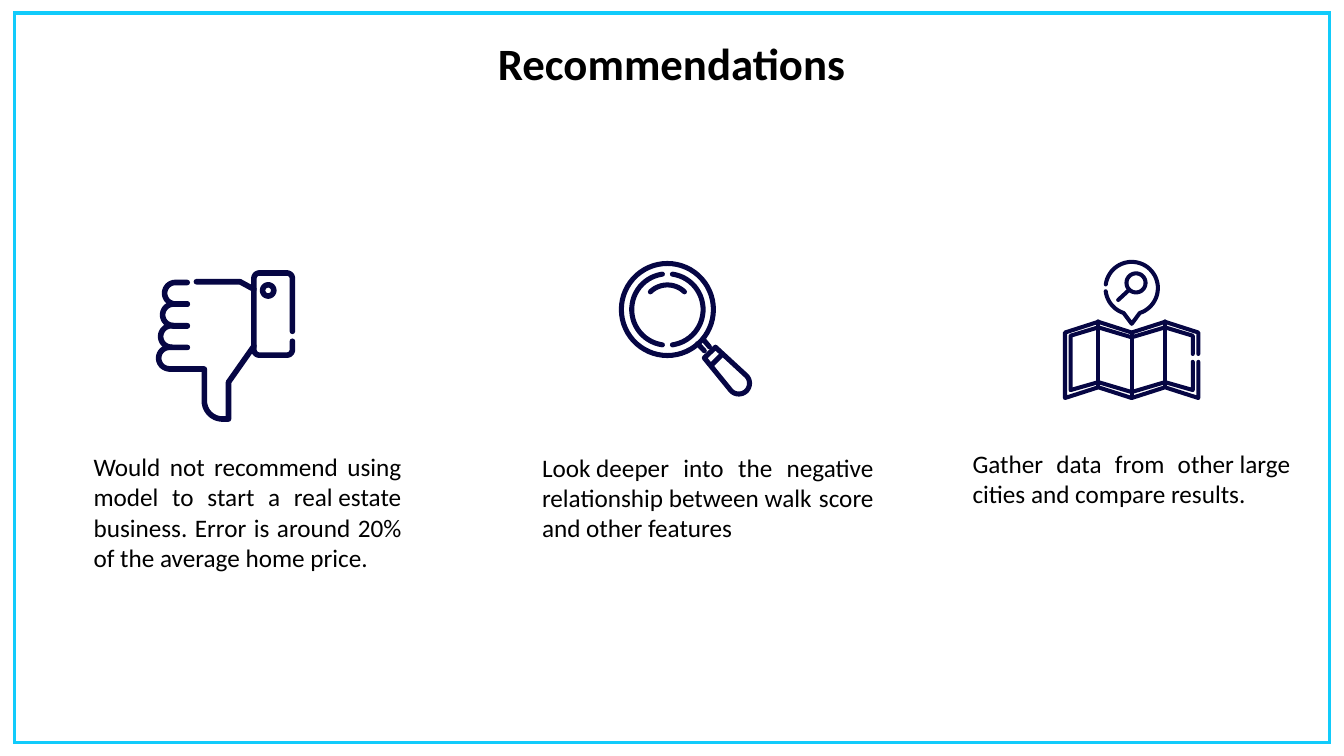
from math import cos, radians, sin

from lxml import etree
from pptx import Presentation
from pptx.dml.color import RGBColor
from pptx.enum.shapes import MSO_SHAPE
from pptx.enum.text import MSO_ANCHOR, PP_ALIGN
from pptx.oxml.ns import qn
from pptx.util import Cm, Pt

COLORS = {"white": "FFFFFF", "frame": "11CBFB", "text": "000000", "icon": "060644"}
NO_BREAK_SPACE = chr(160)


def arc(cx, cy, radius, start, end):
    """Points on a circle, in cm; degrees run clockwise from the right."""
    steps = max(8, round(abs(end - start) / 6))
    angles = [radians(start + (end - start) * i / steps) for i in range(steps + 1)]
    return [(cx + radius * cos(a), cy + radius * sin(a)) for a in angles]


def draw_strokes(strokes, width):
    """Draw strokes as one unfilled outline with round ends."""
    builder = None
    for stroke in strokes:
        pts = [(Cm(x), Cm(y)) for x, y in stroke]
        if builder is None:
            builder = s.shapes.build_freeform(*pts[0])
        else:
            builder.move_to(*pts[0])
        builder.add_line_segments(pts[1:], close=False)
    sp = builder.convert_to_shape()
    sp.shadow.inherit = False
    sp.fill.background()
    sp.line.color.rgb = RGBColor.from_string(COLORS["icon"])
    sp.line.width = Pt(width)
    ln = sp.line._get_or_add_ln()
    ln.set("cap", "rnd")
    etree.SubElement(ln, qn("a:round"))


prs = Presentation()
prs.slide_width, prs.slide_height = Cm(33.87), Cm(19.05)
s = prs.slides.add_slide(prs.slide_layouts[5])

# Title and frame
title = s.shapes.title
title.left, title.top, title.width, title.height = Cm(3.35), Cm(0.69), Cm(27.15), Cm(1.78)
tf = title.text_frame
tf.text = "Recommendations"
tf.vertical_anchor = MSO_ANCHOR.MIDDLE
p = tf.paragraphs[0]
p.alignment = PP_ALIGN.CENTER
r = p.runs[0]
r.font.name, r.font.size, r.font.bold = "Calibri", Pt(32), True
r.font.color.rgb = RGBColor.from_string(COLORS["text"])

frame = s.shapes.add_shape(MSO_SHAPE.RECTANGLE, Cm(0.36), Cm(0.33), Cm(33.15), Cm(18.39))
frame.shadow.inherit = False
frame.fill.solid()
frame.fill.fore_color.rgb = RGBColor.from_string(COLORS["white"])
frame.line.color.rgb = RGBColor.from_string(COLORS["frame"])
frame.line.width = Pt(2.25)
etree.SubElement(frame.line._get_or_add_ln(), qn("a:miter")).set("lim", "800000")
title._element.addprevious(frame._element)

# Recommendations: left, top, width, height, text with ~ for a no-break space
recommendations = [
    (2.11, 11.25, 8.26, 4.11,
     "Would not recommend using model to start a real~estate business. "
     "Error is around 20% of the average~home~price."),
    (13.41, 11.27, 8.86, 3.33,
     "Look~deeper into the negative relationship~between~walk score and other~features"),
    (24.26, 11.17, 8.51, 1.8,
     "Gather data from other~large cities and compare~results."),
]
for left, top, width, height, text in recommendations:
    tf = s.shapes.add_textbox(Cm(left), Cm(top), Cm(width), Cm(height)).text_frame
    tf.word_wrap = True
    tf.text = text.replace("~", NO_BREAK_SPACE)
    p = tf.paragraphs[0]
    p.alignment = PP_ALIGN.JUSTIFY
    r = p.runs[0]
    r.font.name, r.font.size = "Calibri", Pt(18)
    r.font.color.rgb = RGBColor.from_string(COLORS["text"])

# Thumb down: fingers, thumb, back of the hand, cuff; then the button
hand = []
for i in range(4):
    x, y = 4.42 - 0.05 * i, 7.12 + 0.545 * i
    hand.append([(4.72, y)] + arc(x, y + 0.27, 0.27, 270, 90))
    if i < 3:
        hand.append([(x, y + 0.545), (4.72, y + 0.545)])
hand += [
    [(4.27, 9.3), (5.15, 9.3)] + arc(5.61, 10.1, 0.46, 180, 90)
    + [(5.76, 10.56), (5.76, 9.63), (6.4, 8.72)],
    [(4.95, 7.1), (6.05, 7.1), (6.4, 7.29)],
    [(7.37, 8.6)] + arc(7.23, 8.81, 0.14, 0, 90) + arc(6.54, 8.81, 0.14, 90, 180)
    + arc(6.54, 7.02, 0.14, 180, 270) + arc(7.23, 7.02, 0.14, 270, 360) + [(7.37, 8.35)],
]
button = [arc(6.76, 7.32, 0.14, 0, 360)]
draw_strokes(hand, 4)
draw_strokes(button, 4)

# Magnifier: glint; rim, neck, handle and collar; lens edges
lens = (16.82, 7.8)
glint = [arc(*lens, 0.62, 226, 314)]
rim_and_handle = [
    arc(*lens, 1.16, 0, 360),
    [(17.58, 8.66), (17.75, 8.84)],
    [(17.73, 8.56), (17.88, 8.74)],
    [(17.75, 9.02)] + arc(18.62, 9.66, 0.27, 138, -43) + [(18.03, 8.75), (17.75, 9.02)],
    [(17.93, 9.2), (18.19, 8.94)],
]
right_edge = [arc(*lens, 0.9, -82, 82)]
left_edge = [arc(*lens, 0.9, 98, 262)]
for strokes in (glint, rim_and_handle, right_edge, left_edge):
    draw_strokes(strokes, 3.6)

# Map: pin; its lens; folds with outer and inner edge
pin = [arc(28.52, 7.26, 0.66, 188, 432) + [(28.52, 8.16)] + arc(28.52, 7.26, 0.66, 108, 173)]
pin_lens = [arc(28.63, 7.13, 0.24, 0, 360), [(28.44, 7.32), (28.18, 7.56)]]
folds = [26.84 + 0.84 * i for i in range(5)]
sheet = [[(x, 8.1), (x, 9.75)] for x in (folds[1], folds[3])]
sheet.append([(folds[2], 8.38), (folds[2], 10.02)])
edges = [
    (0, (8.38, 8.11, 8.38, 8.11, 8.38), (10.03, 9.76, 10.03, 9.76, 10.03)),
    (0.14, (8.46, 8.25, 8.5, 8.25, 8.46), (9.83, 9.63, 9.88, 9.63, 9.83)),
]
for inset, top_ys, bottom_ys in edges:
    xs = [folds[0] + inset] + folds[1:4] + [folds[4] - inset]
    top_edge, bottom_edge = list(zip(xs, top_ys)), list(zip(xs, bottom_ys))
    sheet.append([(xs[-1], 8.92)] + top_edge[::-1] + bottom_edge + [(xs[-1], 9.12)])
for strokes in (pin, pin_lens, sheet):
    draw_strokes(strokes, 2.9)

prs.save("out.pptx")
